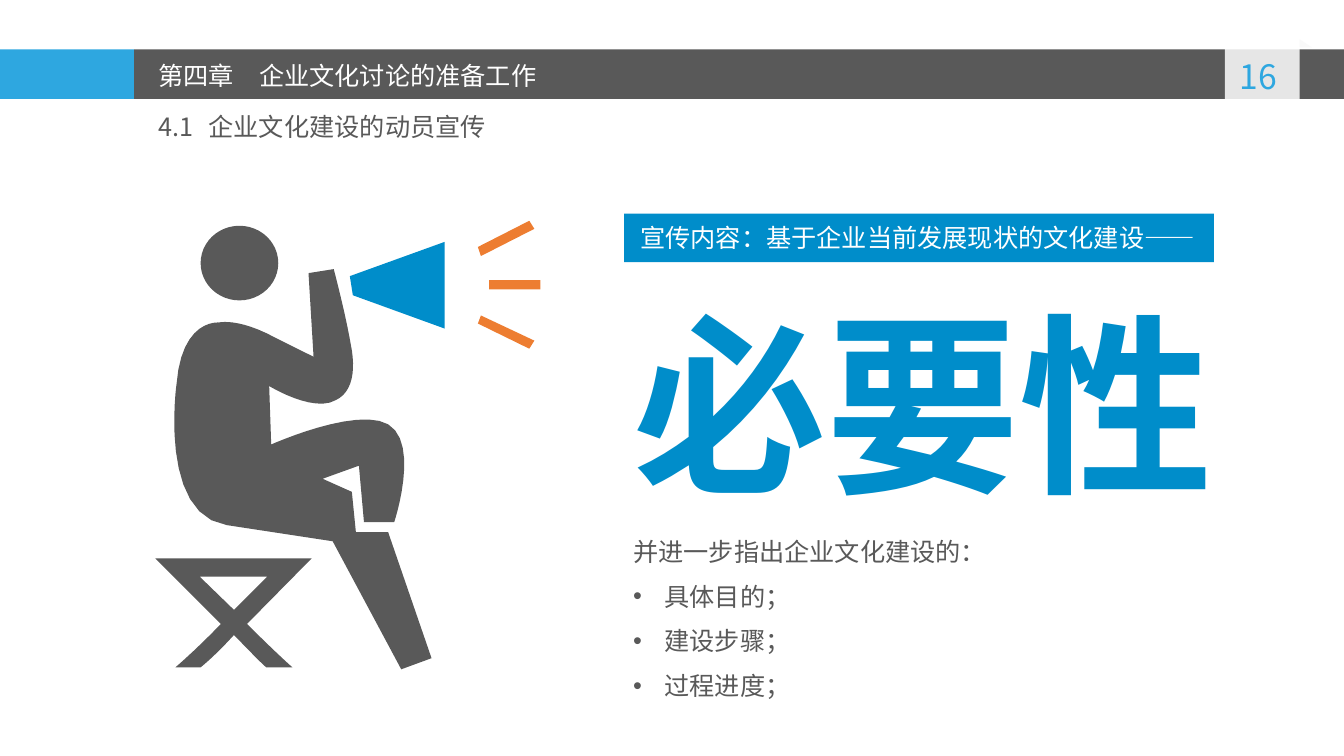
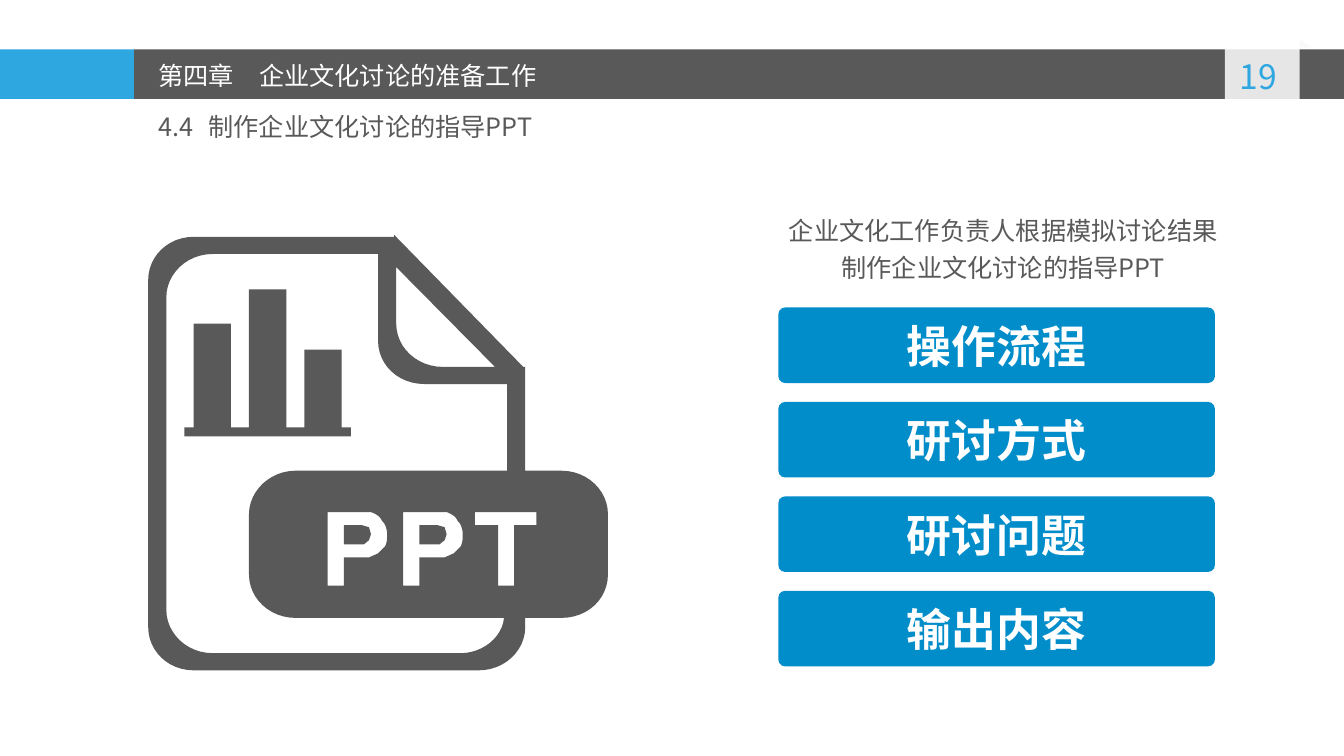
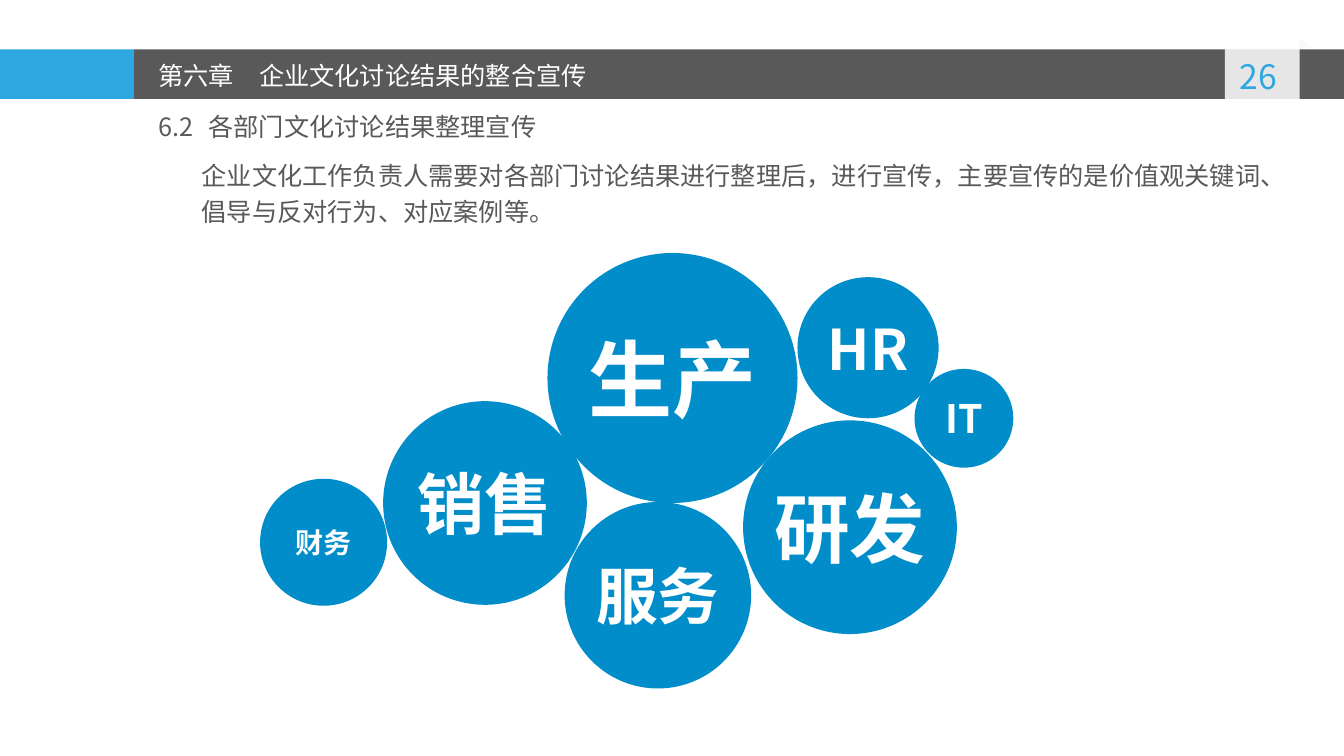
from lxml.etree import SubElement
from pptx import Presentation
from pptx.dml.color import RGBColor
from pptx.enum.shapes import MSO_SHAPE as Preset
from pptx.enum.text import MSO_ANCHOR as Anchor, MSO_AUTO_SIZE as AutoSize, PP_ALIGN as Align
from pptx.oxml.ns import qn
from pptx.util import Inches, Pt

FONT = "Noto Sans CJK SC"
BLUE, SKY, GREY, ORANGE, WHITE = "008DCA", "2EA7E0", "595959", "ED7D31", "FFFFFF"

HEADINGS = [
    ("第四章\t企业文化讨论的准备工作", "4.1\t企业文化建设的动员宣传", "16"),
    ("第四章\t企业文化讨论的准备工作", "4.4\t制作企业文化讨论的指导PPT", "19"),
    ("第六章\t企业文化讨论结果的整合宣传", "6.2\t各部门文化讨论结果整理宣传", "26"),
]
BANNER = "宣传内容：基于企业当前发展现状的文化建设——"
KEYWORD = "必要性"
AIMS = ["并进一步指出企业文化建设的：", "具体目的；", "建设步骤；", "过程进度；"]
GUIDE = ["企业文化工作负责人根据模拟讨论结果制作企业文化讨论的指导PPT"]
GUIDE_PARTS = ["操作流程", "研讨方式", "研讨问题", "输出内容"]
SUMMARY = ["企业文化工作负责人需要对各部门讨论结果进行整理后，进行宣传，"
           "主要宣传的是价值观关键词、倡导与反对行为、对应案例等。"]
DEPARTMENTS = [
    ("生产", 5.43, 2.51, 2.48, 60),
    ("研发", 7.37, 4.17, 2.12, 54),
    ("服务", 5.6, 4.98, 1.85, 44),
    ("销售", 3.8, 3.98, 2.02, 48),
    ("HR", 7.91, 2.75, 1.4, 40),
    ("财务", 2.58, 4.75, 1.26, 20),
    ("IT", 9.07, 3.66, 0.98, 28),
]

# Two numbers are a corner; six are a Bezier curve (two controls and an end).
NUMBER_PANEL = [(12.15, 1.09), (12.15, 0.4), (12.89, 0.4), (12.89, 1.09), (12.51, 1.03)]
STOOL_FRAME = [
    (2.32, 6.3), (2.21, 6.42, 2.09, 6.54, 1.99, 6.62), (1.74, 6.62),
    (1.8, 6.57, 2.01, 6.38, 2.19, 6.19), (1.54, 5.54), (3.09, 5.54), (2.45, 6.19),
    (2.64, 6.38, 2.84, 6.57, 2.9, 6.62), (2.64, 6.62), (2.55, 6.54, 2.44, 6.42, 2.32, 6.3),
]
STOOL_GAP = [(2.65, 5.72), (1.98, 5.72), (2.32, 6.05)]
SPEAKER_BODY = [
    (1.75, 3.82), (1.8, 3.16, 2.17, 3.2, 2.17, 3.2), (2.17, 3.2, 2.36, 3.15, 2.73, 3.35),
    (3.11, 3.54), (3.06, 2.71), (3.31, 2.67), (3.31, 2.67, 3.42, 3.08, 3.48, 3.42),
    (3.53, 3.67, 3.5, 3.89, 3.33, 3.97), (3.11, 4.1, 2.67, 3.83, 2.67, 3.83), (2.69, 4.41),
    (2.69, 4.41, 3.54, 4.03, 3.85, 4.21), (4.17, 4.4, 3.91, 5.18, 3.91, 5.18),
    (3.61, 5.18), (3.56, 4.62), (3.2, 4.75), (3.49, 4.88), (3.53, 5.28), (3.85, 5.28),
    (4.28, 6.53), (3.98, 6.64), (3.3, 5.37), (2.25, 5.21), (1.57, 5.11, 1.75, 3.82, 1.75, 3.82),
]
MEGAPHONE = [(4.41, 2.4), (4.41, 3.26), (3.5, 2.93), (3.47, 2.74)]
UPPER_RAY = [(5.3, 2.27), (4.77, 2.54), (4.74, 2.45), (5.25, 2.19)]
LOWER_RAY = [(5.3, 3.38), (5.25, 3.46), (4.74, 3.21), (4.77, 3.13)]
PAGE_OUTLINE = [
    (5.57, 6.13), (5.21, 6.13), (5.21, 6.22), (5.21, 6.46, 5, 6.65, 4.75, 6.65), (1.92, 6.65),
    (1.67, 6.65, 1.47, 6.46, 1.47, 6.22), (1.47, 2.78), (1.47, 2.54, 1.67, 2.35, 1.92, 2.35),
    (3.91, 2.35), (3.91, 2.33), (5.19, 3.64), (5.21, 3.64), (5.21, 4.67), (5.57, 4.67),
    (5.83, 4.67, 6.03, 4.87, 6.03, 5.1), (6.03, 5.7), (6.03, 5.94, 5.83, 6.13, 5.57, 6.13),
]
PAGE_FOLD = [(3.93, 2.65), (3.93, 3.21), (3.93, 3.45, 4.14, 3.64, 4.39, 3.64), (4.91, 3.64)]
PAGE_INSIDE = [
    (5.03, 3.81), (4.21, 3.81), (3.95, 3.81, 3.75, 3.62, 3.75, 3.38), (3.75, 2.52), (2.11, 2.52),
    (1.85, 2.52, 1.65, 2.72, 1.65, 2.95), (1.65, 6.05), (1.65, 6.28, 1.85, 6.48, 2.11, 6.48),
    (4.57, 6.48), (4.78, 6.48, 4.98, 6.33, 5, 6.13), (2.93, 6.13),
    (2.68, 6.13, 2.47, 5.94, 2.47, 5.7), (2.47, 5.1), (2.47, 4.87, 2.68, 4.67, 2.93, 4.67),
    (5.03, 4.67),
]
LETTER_P = [
    (3.5, 5.53), (3.57, 5.53, 3.64, 5.53, 3.66, 5.53), (3.75, 5.49), (3.82, 5.42),
    (3.84, 5.38, 3.84, 5.34, 3.84, 5.3), (3.84, 5.25, 3.82, 5.19, 3.79, 5.17),
    (3.77, 5.12, 3.73, 5.1, 3.68, 5.08), (3.25, 5.08), (3.25, 5.81), (3.41, 5.81), (3.41, 5.53),
]
LETTER_P_HOLE = [
    (3.41, 5.21), (3.59, 5.21), (3.66, 5.23), (3.68, 5.3), (3.66, 5.36), (3.61, 5.4), (3.41, 5.4),
]
LETTER_T = [
    (5.32, 5.08), (4.71, 5.08), (4.71, 5.21), (4.94, 5.21), (4.94, 5.81), (5.1, 5.81),
    (5.1, 5.21), (5.32, 5.21),
]
BAR_TOPS = [3.21, 2.87, 3.47]


def color(value):
    return RGBColor.from_string(value)


def paint(shape, fill, alpha=None):
    shape.shadow.inherit = False
    shape.fill.solid()
    shape.fill.fore_color.rgb = color(fill)
    shape.line.fill.background()
    if alpha is not None:
        fill_color = shape.element.find(".//" + qn("a:srgbClr"))
        SubElement(fill_color, qn("a:alpha"), val=str(alpha * 1000))
    return shape


def add_block(shapes, preset, box, fill, alpha=None):
    return paint(shapes.add_shape(preset, *map(Inches, box)), fill, alpha)


def flatten(contour, steps=12):
    points = [contour[0]]
    for segment in contour[1:]:
        if len(segment) == 2:
            points.append(segment)
            continue
        x0, y0 = points[-1]
        x1, y1, x2, y2, x3, y3 = segment
        for step in range(1, steps + 1):
            t = step / steps
            a, b, c, d = (1 - t) ** 3, 3 * t * (1 - t) ** 2, 3 * t * t * (1 - t), t ** 3
            points.append((a * x0 + b * x1 + c * x2 + d * x3, a * y0 + b * y1 + c * y2 + d * y3))
    return [(Inches(x), Inches(y)) for x, y in points]


def add_outline(shapes, contours, fill, alpha=None):
    outlines = [flatten(contour) for contour in contours]
    builder = shapes.build_freeform(*outlines[0][0])
    for index, points in enumerate(outlines):
        if index:
            builder.move_to(*points[0])
        builder.add_line_segments(points[1:], close=True)
    return paint(builder.convert_to_shape(), fill, alpha)


def shift(contour, distance):
    return [tuple(value + distance * (index % 2 == 0) for index, value in enumerate(segment))
            for segment in contour]


def write(frame, lines, size, fill, bold=False, align=Align.LEFT, anchor=Anchor.TOP,
          spacing=None, before=0, tab=None, bulleted=False, wrap=True):
    frame.word_wrap = wrap
    frame.vertical_anchor = anchor
    for index, line in enumerate(lines):
        paragraph = frame.paragraphs[0] if index == 0 else frame.add_paragraph()
        paragraph.alignment = align
        paragraph.line_spacing = spacing
        paragraph.space_before = Pt(before)
        properties = paragraph._p.get_or_add_pPr()
        hanging = Inches(0.31) if bulleted else 0
        properties.set("marL", str(hanging))
        properties.set("indent", str(-hanging))
        if bulleted and index:
            SubElement(properties, qn("a:buFont"), typeface="Arial")
            SubElement(properties, qn("a:buChar"), char="•")
        else:
            SubElement(properties, qn("a:buNone"))
        if tab:
            tabs = SubElement(properties, qn("a:tabLst"))
            SubElement(tabs, qn("a:tab"), pos=str(Inches(tab)), algn="l")
        run = paragraph.add_run()
        run.text = line
        run.font.name = FONT
        run.font.size = Pt(size)
        run.font.bold = bold
        run.font.color.rgb = color(fill)
        SubElement(run._r.get_or_add_rPr(), qn("a:ea"), typeface=FONT)


def place(shape, box):
    shape.left, shape.top, shape.width, shape.height = map(Inches, box)
    shape.text_frame.auto_size = AutoSize.NONE
    return shape.text_frame


def add_text(slide, box, text, size, fill, **style):
    frame = place(slide.shapes.add_textbox(0, 0, 0, 0), box)
    write(frame, [text], size, fill, **style)
    return frame


def write_body(slide, box, lines, **style):
    frame = place(slide.placeholders[1], box)
    write(frame, lines, 18, GREY, spacing=1.2, before=6, **style)


def add_bands(slide, layout):
    shapes = slide.shapes
    bands = [
        add_block(shapes, Preset.RECTANGLE, (0, 0.49, 1.33, 0.49), SKY),
        add_block(shapes, Preset.RECTANGLE, (1.33, 0.49, 12.01, 0.49), GREY),
        add_block(shapes, Preset.RIGHT_TRIANGLE, (12.89, 0.39, 0.12, 0.08), "F8F8F8", 83),
        add_outline(shapes, [NUMBER_PANEL], WHITE, 85),
    ]
    for band in bands:
        layout.shapes.element.append(band.element)


def add_heading(slide, chapter, section, number):
    title = place(slide.shapes.title, (1.47, 0.55, 5.04, 0.4))
    write(title, [chapter], 18, WHITE, tab=0.98)
    add_text(slide, (1.47, 1.06, 5.31, 0.4), section, 18, GREY, tab=0.52)
    page = add_text(slide, (12.15, 0.51, 0.74, 0.5), number, 24, SKY, align=Align.CENTER)
    page.margin_right = Inches(0.18)


def build_necessity(slide):
    icon = slide.shapes.add_group_shape().shapes
    add_outline(icon, [STOOL_FRAME, STOOL_GAP], GREY)
    add_block(icon, Preset.OVAL, (1.99, 2.24, 0.77, 0.74), GREY)
    add_outline(icon, [SPEAKER_BODY], GREY)
    add_outline(icon, [MEGAPHONE], BLUE)
    add_outline(icon, [UPPER_RAY], ORANGE)
    add_block(icon, Preset.RECTANGLE, (4.85, 2.78, 0.51, 0.09), ORANGE)
    add_outline(icon, [LOWER_RAY], ORANGE)
    banner = add_block(slide.shapes, Preset.RECTANGLE, (6.19, 2.12, 5.85, 0.48), BLUE).text_frame
    banner.margin_left, banner.margin_right = Inches(0.16), 0
    write(banner, [BANNER], 18, WHITE, anchor=Anchor.MIDDLE)
    add_text(slide, (6.18, 2.78, 5.95, 2.4), KEYWORD, 138, BLUE, bold=True, wrap=False)
    write_body(slide, (6.18, 5.21, 6.48, 1.81), AIMS, bulleted=True)


def build_guide(slide):
    write_body(slide, (7.72, 2.03, 4.46, 0.83), GUIDE, align=Align.CENTER)
    for index, part in enumerate(GUIDE_PARTS):
        box = (7.72, 3.05 + index * 0.937, 4.33, 0.75)
        button = add_block(slide.shapes, Preset.ROUNDED_RECTANGLE, box, BLUE)
        button.adjustments[0] = 0.09
        write(button.text_frame, [part], 32, WHITE, bold=True, align=Align.CENTER,
              anchor=Anchor.MIDDLE)
    bars = [(1.83, 4.33), (1.83, 4.24)]
    for index, top in enumerate(BAR_TOPS):
        left = 1.92 + index * 0.55
        right = left + 0.37
        bars += [(left, 4.24), (left, top), (right, top), (right, 4.24)]
    bars += [(3.48, 4.24), (3.48, 4.33)]
    letters = [shift(part, step) for step in (0, 0.75) for part in (LETTER_P, LETTER_P_HOLE)]
    add_outline(slide.shapes, [PAGE_OUTLINE, PAGE_FOLD, PAGE_INSIDE, *letters, LETTER_T, bars], GREY)


def build_departments(slide):
    for name, left, top, diameter, size in DEPARTMENTS:
        circle = add_block(slide.shapes, Preset.OVAL, (left, top, diameter, diameter), BLUE)
        frame = circle.text_frame
        frame.margin_left = frame.margin_right = frame.margin_top = frame.margin_bottom = 0
        write(frame, [name], size, WHITE, bold=True, align=Align.CENTER,
              anchor=Anchor.MIDDLE, wrap=False)
    write_body(slide, (1.9, 1.48, 10.99, 0.83), SUMMARY)


presentation = Presentation()
presentation.slide_width, presentation.slide_height = Inches(13.33), Inches(7.5)
layout = presentation.slide_layouts[1]
builders = [build_necessity, build_guide, build_departments]
for index, (heading, build) in enumerate(zip(HEADINGS, builders)):
    slide = presentation.slides.add_slide(layout)
    if index == 0:
        add_bands(slide, layout)
    add_heading(slide, *heading)
    build(slide)
presentation.save("out.pptx")
